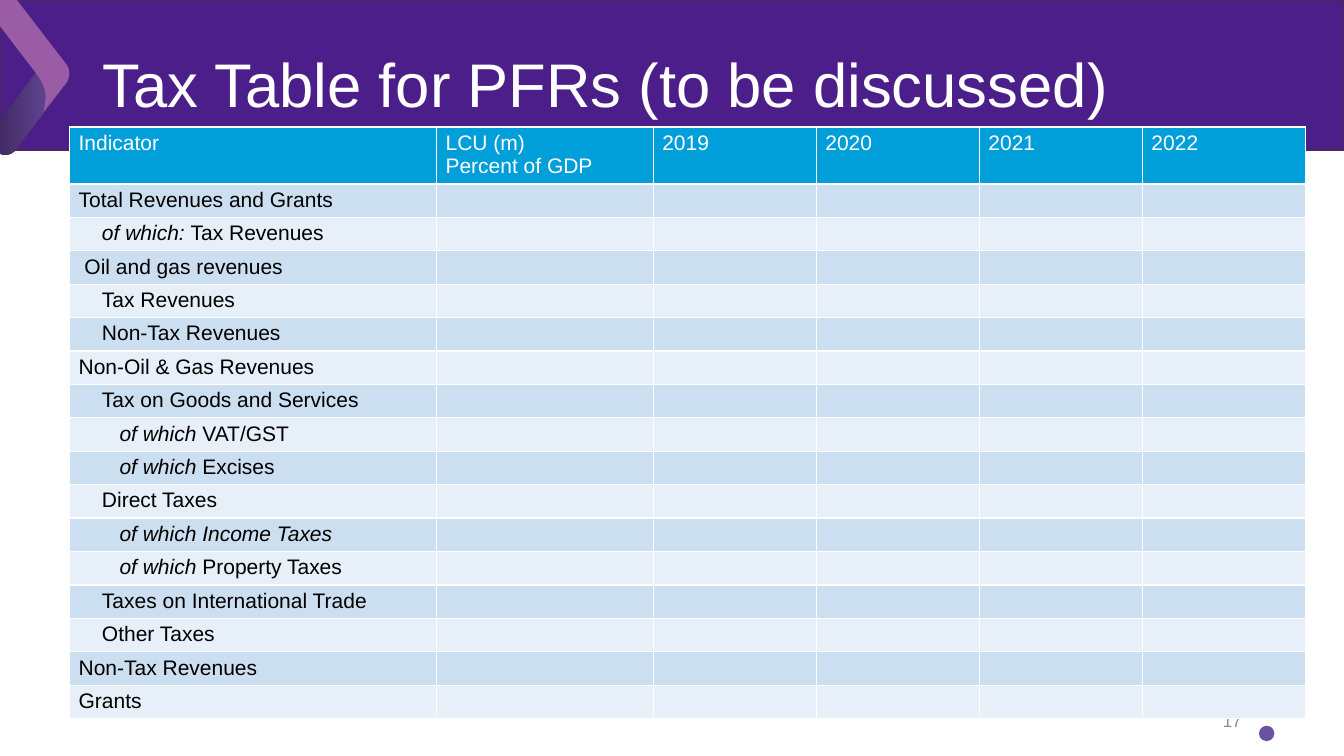
"""Build the tax table slide."""
import pptx
import pptx.util
import pptx.dml.color
import pptx.enum.shapes
import pptx.enum.text
import pptx.oxml.ns
from lxml import etree

Pt = pptx.util.Pt
RGB = pptx.dml.color.RGBColor
SHAPE = pptx.enum.shapes.MSO_SHAPE
TEXT = pptx.enum.text
qn = pptx.oxml.ns.qn

WHITE = RGB(0xFF, 0xFF, 0xFF)
BLACK = RGB(0, 0, 0)
GREY = RGB(0x8C, 0x8C, 0x8C)
BAND = RGB(0x4C, 0x1E, 0x89)
EDGE = RGB(0x49, 0x27, 0x5B)
DARK = RGB(0x3D, 0x24, 0x5B)
VIOLET = RGB(0x6A, 0x51, 0xA2)
PINK = RGB(0x99, 0x5C, 0xA5)
BLUE = RGB(0x00, 0x9F, 0xDA)
STRIPES = [RGB(0xCC, 0xDF, 0xF1), RGB(0xE7, 0xF0, 0xF8)]

TITLE = "Tax Table for PFRs (to be discussed)"
PAGE = "17"
HEADS = ["Indicator", "LCU (m)\nPercent of GDP", "2019", "2020", "2021", "2022"]
ROWS = [
    (0, "", "Total Revenues and Grants"),
    (4, "of which: ", "Tax Revenues"),
    (1, "", "Oil and gas revenues"),
    (4, "", "Tax Revenues"),
    (4, "", "Non-Tax Revenues"),
    (0, "", "Non-Oil & Gas Revenues"),
    (4, "", "Tax on Goods and Services"),
    (7, "of which ", "VAT/GST"),
    (7, "of which ", "Excises"),
    (4, "", "Direct Taxes"),
    (7, "of which Income Taxes", ""),
    (7, "of which ", "Property Taxes"),
    (4, "", "Taxes on International Trade"),
    (4, "", "Other Taxes"),
    (0, "", "Non-Tax Revenues"),
    (0, "", "Grants"),
]
WIDTHS = [262.1, 154.8] + [116.5] * 4
HEAD, ROW = 40.7, 23.88
SIZE, STEP = 15, 4.17
PAD, SIDE = 3.1, 6.5

LOWER = [
    (10.8, 107.3), (47.5, 59), (50.4, 55.4, 49.7, 49.7, 45.4, 46.8),
    (43.2, 44.6), (39.6, 41.8, 33.8, 42.5, 30.2, 46.1),
    (-6.5, 94.3), (-9.4, 97.9, -8.6, 103.7, -4.3, 107.3),
    (-2.2, 108.7), (2.2, 111.6, 7.9, 110.9, 10.8, 107.3),
]
UPPER = [
    (25.9, 52.6), (-5, 12.2), (-8.6, 7.2, -7.9, 0.7, -3.6, -2.9),
    (1.4, -6.5, 7.9, -5, 11.5, -0.7), (47.5, 46.1),
    (49.7, 49, 50.4, 54, 48.2, 57.6), (47.5, 59, 31, 79.9, 31, 79.9),
    (31, 79.9, 33.1, 73.4, 32.4, 67), (32.4, 60.5, 25.9, 52.6, 25.9, 52.6),
]


def trace(steps, count=10):
    dots = []
    for step in steps:
        if len(step) == 2:
            dots.append(step)
            continue
        ends = [dots[-1], step[:2], step[2:4], step[4:]]
        for k in range(1, count + 1):
            t = k / count
            mix = [(1 - t) ** 3, 3 * t * (1 - t) ** 2, 3 * t * t * (1 - t), t ** 3]
            dots.append(tuple(sum(m * e[i] for m, e in zip(mix, ends)) for i in (0, 1)))
    return [(Pt(x), Pt(y)) for x, y in dots]


def paint(shape, color, edge=None):
    shape.shadow.inherit = False
    shape.fill.solid()
    shape.fill.fore_color.rgb = color
    if edge is None:
        shape.line.fill.background()
    else:
        shape.line.color.rgb = edge
        shape.line.width = Pt(1)


def chevron(shapes, steps, color):
    dots = trace(steps)
    form = shapes.build_freeform(*dots[0])
    form.add_line_segments(dots[1:], close=True)
    shape = form.convert_to_shape()
    paint(shape, color)
    return shape


def style(para, size, color):
    para.font.size = Pt(size)
    para.font.name = "Arial"
    para.font.color.rgb = color


def dress(cell, fill, color, shift=0):
    props = cell._tc.get_or_add_tcPr()
    for side in ("a:lnL", "a:lnR", "a:lnT", "a:lnB"):
        line = etree.SubElement(props, qn(side), w=str(Pt(1)))
        solid = etree.SubElement(line, qn("a:solidFill"))
        etree.SubElement(solid, qn("a:srgbClr"), val=str(WHITE))
    cell.fill.solid()
    cell.fill.fore_color.rgb = fill
    cell.margin_left = Pt(SIDE + shift)
    cell.margin_right = Pt(SIDE)
    cell.margin_top = cell.margin_bottom = Pt(PAD)
    for para in cell.text_frame.paragraphs:
        style(para, SIZE, color)
        if not para.runs:
            etree.SubElement(para._p, qn("a:endParaRPr"), sz=str(SIZE * 100))


def fill_table(shapes):
    height = HEAD + ROW * len(ROWS)
    frame = shapes.add_table(len(ROWS) + 1, len(HEADS), Pt(49.7), Pt(90.7),
                             Pt(sum(WIDTHS)), Pt(height))
    table = frame.table
    table.first_row = table.horz_banding = False
    for col, width in zip(table.columns, WIDTHS):
        col.width = Pt(width)
    for i, row in enumerate(table.rows):
        row.height = Pt(ROW if i else HEAD)
    for j, head in enumerate(HEADS):
        cell = table.cell(0, j)
        cell.text_frame.text = head
        dress(cell, BLUE, WHITE)
    for i, (level, lead, label) in enumerate(ROWS):
        para = table.cell(i + 1, 0).text_frame.paragraphs[0]
        for text, slant in ((lead, True), (label, False)):
            if text:
                run = para.add_run()
                run.text = text
                run.font.italic = slant
        for j in range(len(HEADS)):
            shift = 0 if j else level * STEP
            dress(table.cell(i + 1, j), STRIPES[i % 2], BLACK, shift)


def main():
    deck = pptx.Presentation()
    deck.slide_width, deck.slide_height = Pt(960), Pt(540)
    slide = deck.slides.add_slide(deck.slide_layouts[5])
    shapes = slide.shapes
    title = shapes.title
    band = shapes.add_shape(SHAPE.RECTANGLE, 0, 0, Pt(960), Pt(107.3))
    paint(band, BAND, EDGE)
    lower = chevron(shapes, LOWER, DARK)
    lower.fill.gradient()
    lower.fill.gradient_angle = 0
    for stop, color in zip(lower.fill.gradient_stops, (DARK, VIOLET)):
        stop.color.rgb = color
    chevron(shapes, UPPER, PINK)
    dot = shapes.add_shape(SHAPE.OVAL, Pt(899.3), Pt(518.4), Pt(11), Pt(11))
    paint(dot, VIOLET)

    title.element.getparent().append(title.element)
    title.left, title.top = Pt(66.2), Pt(17.3)
    title.width, title.height = Pt(828), Pt(90)
    page = shapes.add_textbox(Pt(678), Pt(500.4), Pt(216), Pt(28.8))
    for box, text, size, color, align in (
            (title, TITLE, 44, WHITE, TEXT.PP_ALIGN.LEFT),
            (page, PAGE, 12, GREY, TEXT.PP_ALIGN.RIGHT)):
        frame = box.text_frame
        frame.text = text
        frame.word_wrap = True
        frame.auto_size = TEXT.MSO_AUTO_SIZE.NONE
        frame.vertical_anchor = TEXT.MSO_ANCHOR.MIDDLE
        frame.paragraphs[0].alignment = align
        style(frame.paragraphs[0], size, color)
    title.text_frame.paragraphs[0].line_spacing = 0.9
    fill_table(shapes)
    deck.save("out.pptx")


if __name__ == "__main__":
    main()
